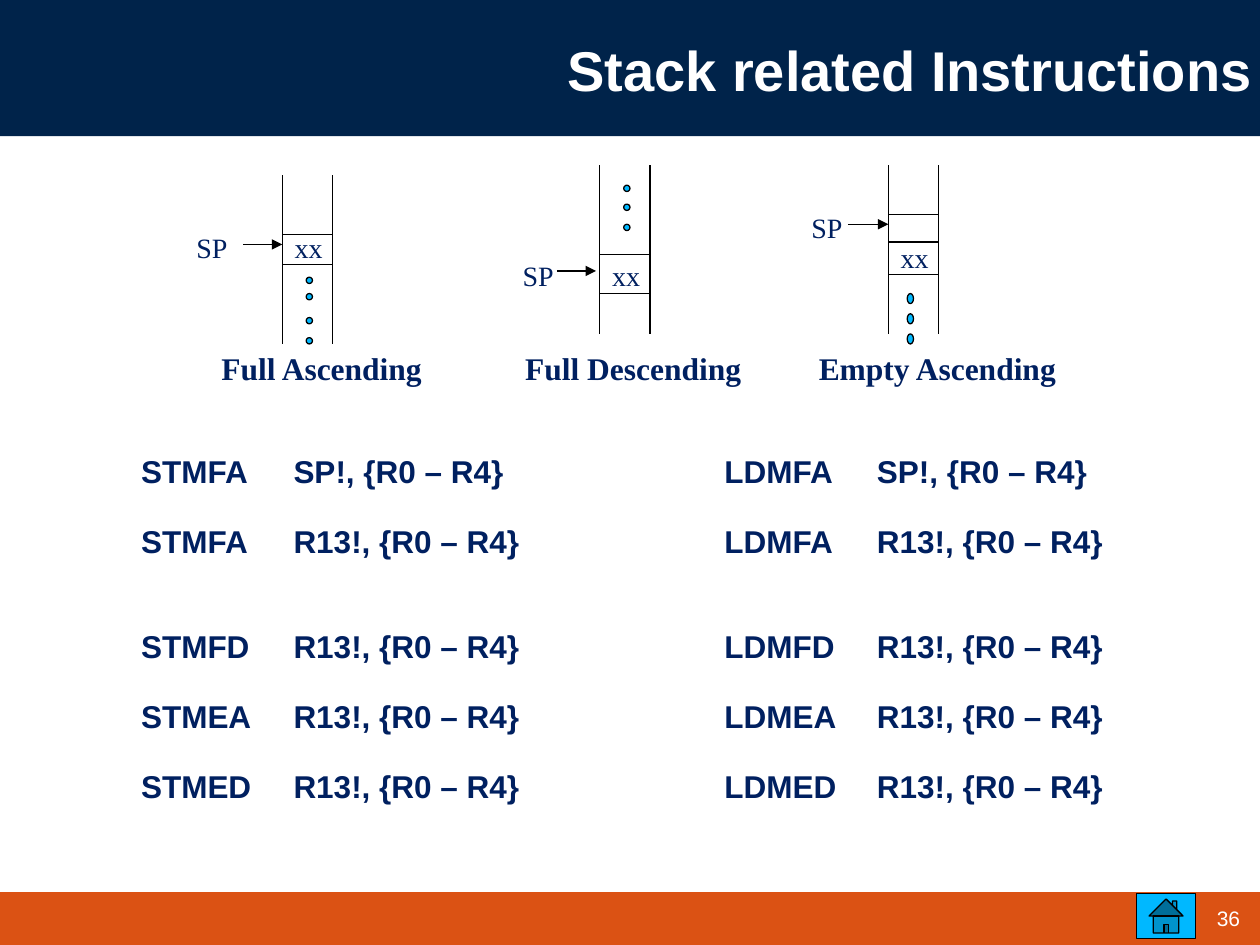
from dataclasses import dataclass

from lxml import etree
from pptx import Presentation
from pptx.dml.color import RGBColor
from pptx.enum.shapes import MSO_CONNECTOR, MSO_SHAPE
from pptx.enum.text import MSO_ANCHOR, PP_ALIGN
from pptx.oxml.ns import qn
from pptx.util import Inches, Pt

LINE = MSO_CONNECTOR.STRAIGHT
RECT = MSO_SHAPE.RECTANGLE
DOT = MSO_SHAPE.FLOWCHART_CONNECTOR
HOME = MSO_SHAPE.ACTION_BUTTON_HOME
LEFT, CENTER, RIGHT = PP_ALIGN.LEFT, PP_ALIGN.CENTER, PP_ALIGN.RIGHT
TOP, MIDDLE = MSO_ANCHOR.TOP, MSO_ANCHOR.MIDDLE


@dataclass(frozen=True)
class Theme:
    navy: str = "00234A"
    orange: str = "DB5214"
    blue: str = "00B8FF"
    ink: str = "002060"
    black: str = "000000"
    white: str = "FFFFFF"
    sans: str = "Arial"
    serif: str = "Times New Roman"
    title: int = 32
    body: int = 18
    label: int = 16
    small: int = 12
    rule: float = 0.75


THEME = Theme()
TITLE = "Stack related Instructions"
PAGE = "36"
LABELS = ["Full Ascending", "Full Descending", "Empty Ascending"]
LABEL_TABS = [2.41, 4.74]

# Each stack: left edge, top, cell lines, dot tops and height,
# top of "xx", left and top of "SP", start, end and height of its arrow
STACKS = [
    dict(x=2.24, y=1.39, cells=[1.86, 2.1], dots=[2.2, 2.33, 2.52, 2.68],
         tall=0.05, item=1.78, sp=(1.46, 1.78), arrow=(1.93, 2.24, 1.94)),
    dict(x=4.76, y=1.31, cells=[2.02, 2.33], dots=[1.47, 1.62, 1.78],
         tall=0.05, item=2.0, sp=(4.05, 2.0), arrow=(4.42, 4.73, 2.15)),
    dict(x=7.05, y=1.31, cells=[1.7, 1.92, 2.18], dots=[2.33, 2.49, 2.65],
         tall=0.08, item=1.86, sp=(6.34, 1.62), arrow=(6.73, 7.05, 1.78)),
]
STACK_W, STACK_H, DOT_W = 0.4, 1.34, 0.05

# Suffix, register, space before in points
CODES = [("FA", "SP", 0), ("FA", "R13", 20), ("FD", "R13", 40),
         ("EA", "R13", 20), ("ED", "R13", 20)]
STEMS = ["STM", "LDM"]
CODE_TAB = 1.21


def color(code):
    return RGBColor.from_string(code)


def style(para, size, tint, face=THEME.sans, bold=False, align=LEFT):
    para.alignment = align
    font = para.font
    font.size, font.name, font.bold = Pt(size), face, bold
    font.color.rgb = color(tint)


def add_tabs(para, stops):
    props = para._p.get_or_add_pPr()
    tabs = etree.SubElement(props, qn("a:tabLst"))
    for stop in stops:
        etree.SubElement(tabs, qn("a:tab"), pos=str(Inches(stop)), algn="l")


def write(frame, text, size, tint, tabs=(), pad=0.05, anchor=TOP, **look):
    frame.word_wrap = True
    frame.vertical_anchor = anchor
    frame.margin_left = frame.margin_right = Inches(0.1)
    frame.margin_top = frame.margin_bottom = Inches(pad)
    para = frame.paragraphs[0]
    para.text = text
    if tabs:
        add_tabs(para, tabs)
    style(para, size, tint, **look)


def add_text(slide, box, *args, **look):
    shape = slide.shapes.add_textbox(*map(Inches, box))
    write(shape.text_frame, *args, **look)


def add_shape(slide, kind, box, fill, edge=None):
    shape = slide.shapes.add_shape(kind, *map(Inches, box))
    shape.shadow.inherit = False
    shape.fill.solid()
    shape.fill.fore_color.rgb = color(fill)
    if edge:
        shape.line.color.rgb = color(edge)
        shape.line.width = Pt(THEME.rule)
    else:
        shape.line.fill.background()
    return shape


def add_line(slide, x1, y1, x2, y2, arrow=False):
    line = slide.shapes.add_connector(LINE, *map(Inches, (x1, y1, x2, y2)))
    line.line.color.rgb = color(THEME.black)
    line.line.width = Pt(THEME.rule)
    props = line._element.spPr
    if arrow:
        etree.SubElement(props.find(qn("a:ln")), qn("a:tailEnd"),
                         type="triangle")
    etree.SubElement(props, qn("a:effectLst"))


def add_stack(slide, stack):
    x, y = stack["x"], stack["y"]
    end = x + STACK_W
    for side in (x, end):
        add_line(slide, side, y, side, y + STACK_H)
    for level in stack["cells"]:
        add_line(slide, x, level, end, level)
    for top in stack["dots"]:
        add_shape(slide, DOT, (x + 0.19 if x < 7 else x + 0.15, top,
                               DOT_W, stack["tall"]),
                  THEME.blue, THEME.black)
    for text, left, top in [("xx", x, stack["item"]), ("SP", *stack["sp"])]:
        add_text(slide, (left, top, 0.55, 0.37), text, THEME.label,
                 THEME.ink, face=THEME.serif)
    start, tip, level = stack["arrow"]
    add_line(slide, start, level, tip, level, arrow=True)


def add_codes(slide):
    box = map(Inches, (0.31, 3.28, 9.26, 3.7))
    table = slide.shapes.add_table(1, len(STEMS), *box).table
    table.first_row = table.horz_banding = False
    for col, stem in enumerate(STEMS):
        cell = table.cell(0, col)
        cell.fill.solid()
        cell.fill.fore_color.rgb = color(THEME.white)
        cell.margin_left, cell.margin_top = Inches(0.81), Inches(0.33)
        frame = cell.text_frame
        for row, (suffix, base, gap) in enumerate(CODES):
            para = frame.add_paragraph() if row else frame.paragraphs[0]
            para.text = f"{stem}{suffix}\t{base}!, {{R0 – R4}}"
            para.line_spacing = Pt(20)
            para.space_before = Pt(gap)
            add_tabs(para, [CODE_TAB])
            style(para, THEME.body, THEME.ink, bold=True)


def main():
    deck = Presentation()
    deck.slide_width, deck.slide_height = Inches(10), Inches(7.5)
    slide = deck.slides.add_slide(deck.slide_layouts[6])
    add_shape(slide, RECT, (0, 0, 10, 1.08), THEME.navy)
    add_shape(slide, RECT, (0, 7.08, 10, 0.42), THEME.orange)
    page = add_shape(slide, RECT, (9.5, 7.14, 0.5, 0.3), THEME.orange)
    write(page.text_frame, PAGE, THEME.small, THEME.white,
          anchor=MIDDLE, align=CENTER)
    add_text(slide, (2.59, 0, 7.45, 1.09), TITLE, THEME.title, THEME.white,
             pad=0.01, anchor=MIDDLE, bold=True, align=RIGHT)
    add_codes(slide)
    for stack in STACKS:
        add_stack(slide, stack)
    add_text(slide, (1.66, 2.72, 6.96, 0.4), "\t".join(LABELS), THEME.body,
             THEME.ink, tabs=LABEL_TABS, face=THEME.serif, bold=True)
    add_shape(slide, HOME, (9.02, 7.09, 0.47, 0.36), THEME.blue, THEME.black)
    deck.save("out.pptx")


if __name__ == "__main__":
    main()
